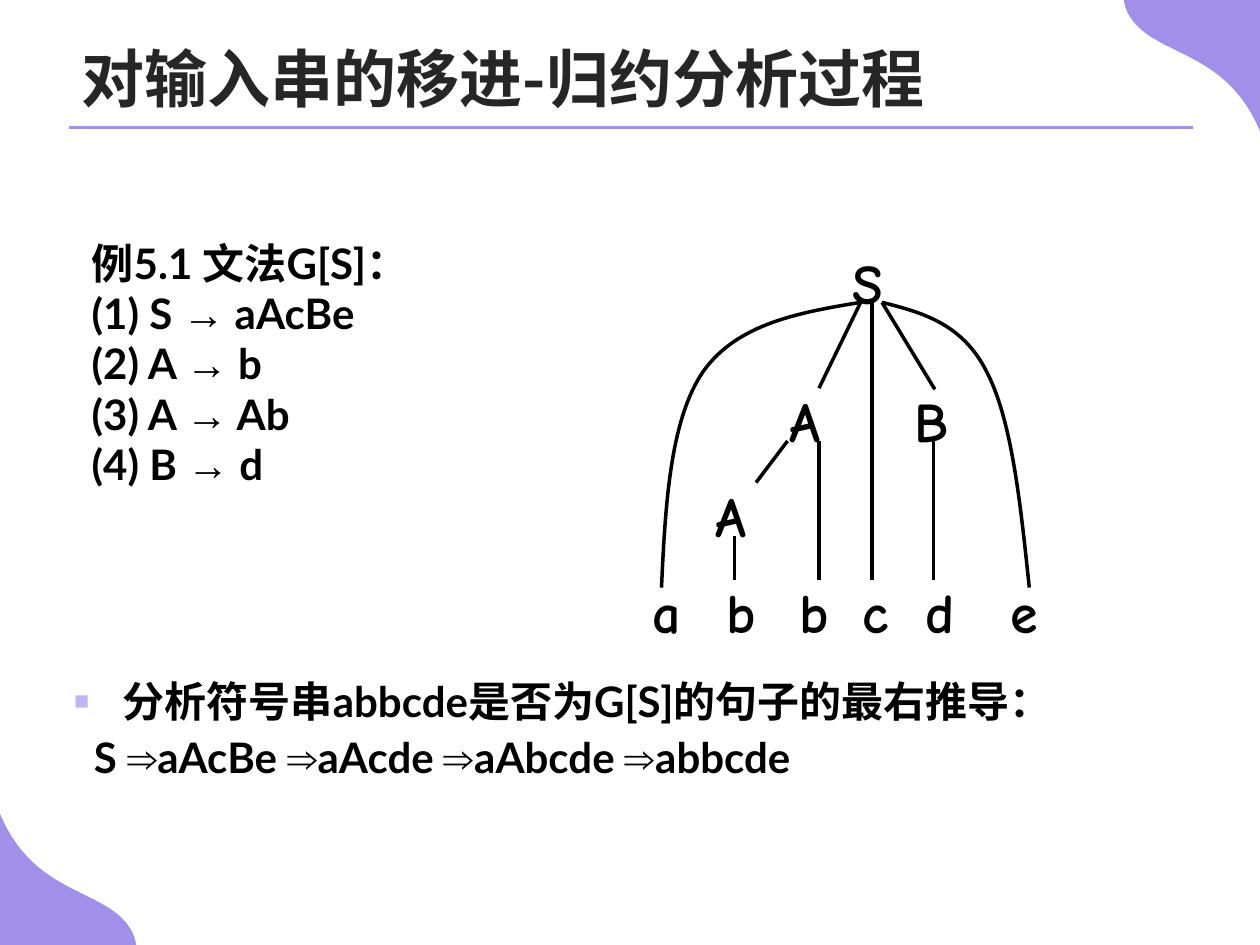
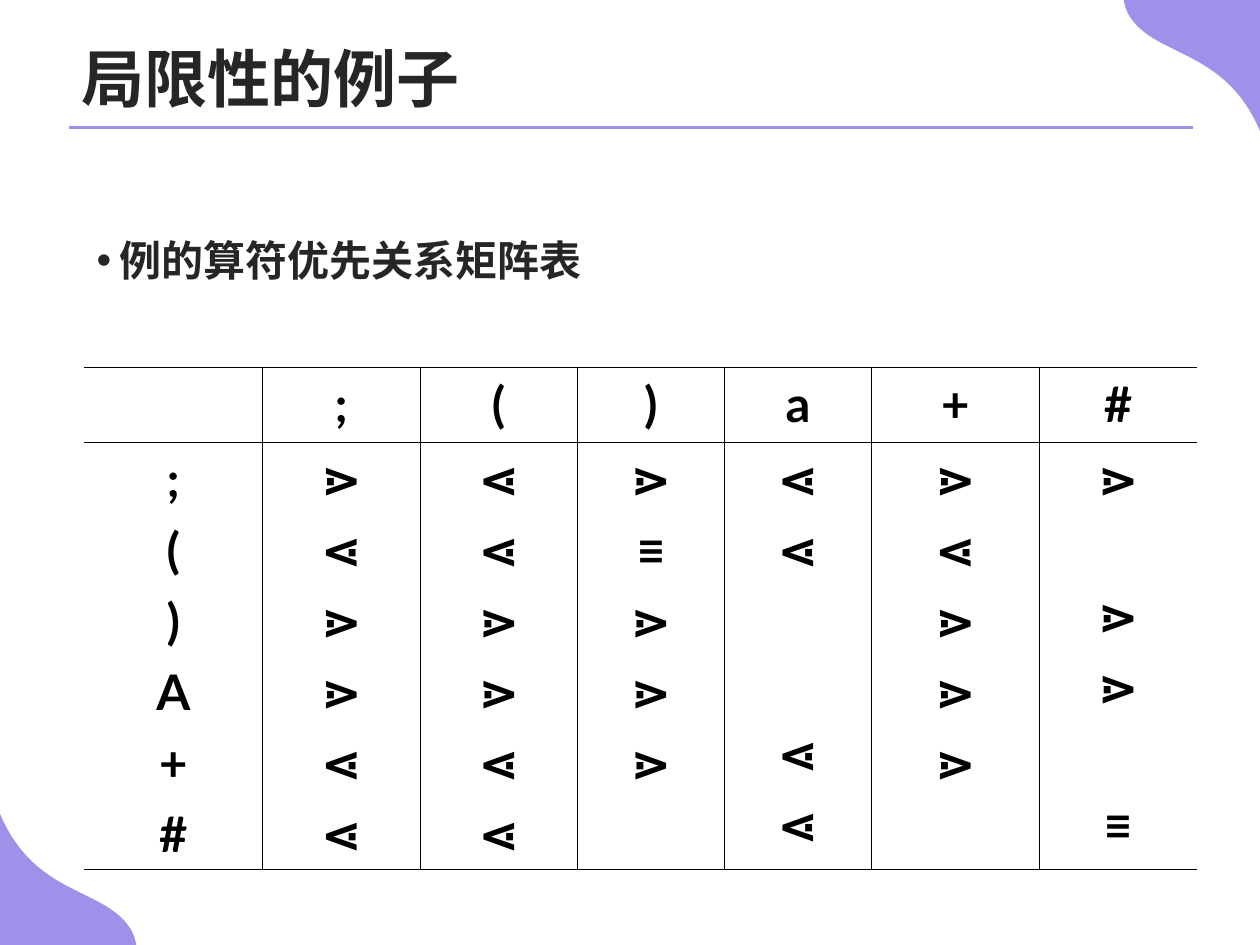
from dataclasses import dataclass
from itertools import groupby

from lxml.etree import SubElement
from pptx import Presentation
from pptx.dml.color import RGBColor
from pptx.enum.shapes import MSO_CONNECTOR
from pptx.enum.text import MSO_ANCHOR, MSO_AUTO_SIZE, PP_ALIGN
from pptx.oxml.ns import qn
from pptx.util import Pt


@dataclass(frozen=True)
class Theme:
    accent: str = "A190E9"
    marker: str = "C0B5F0"
    heading: str = "262626"
    ink: str = "000000"
    latin: str = "Lato"
    symbol: str = "Arial"
    chinese: str = "Noto Sans CJK SC"
    tree: str = "Comic Neue"
    title_size: float = 36
    tree_size: float = 32
    table_size: float = 28
    body_size: float = 24
    thin: float = 0.45
    thick: float = 1.08


THEME = Theme()
WIDTH, HEIGHT = 720, 540
ARROWS = "→⇒"

CORNER = [
    (655.2, 19.4), (674.6, 33.1), (703.4, 36), (720, 74.9),
    (720, 0), (720, 0), (720, 0),
    (642.2, 0), (642.2, 0), (642.2, 0),
    (643, 6.5), (646.6, 13), (655.2, 19.4),
]

GRAMMAR = ["例5.1 文法G[S]：", "(1) S → aAcBe", "(2) A → b", "(3) A → Ab", "(4) B → d"]

ROOT, UPPER, LEAF = 172.8, 252, 331.2
LEAF_TOP = 326.2
TREE_LABELS = [
    ("a", 365.8, LEAF_TOP, 24), ("b", 408.2, LEAF_TOP, 24), ("b", 450, LEAF_TOP, 24),
    ("c", 486, LEAF_TOP, 24), ("d", 522, LEAF_TOP, 24), ("e", 570.2, LEAF_TOP, 30),
    ("A", 401.8, 271.4, 30), ("A", 444.2, 217.4, 30), ("B", 515.5, 217.4, 36),
    ("S", 480.2, 138.2, 30),
]
TREE_BRANCHES = [
    ((419.8, LEAF), (419.8, 306)), ((468, LEAF), (468, UPPER)),
    ((450, UPPER), (432, 275.8)), ((533.5, LEAF), (533.5, UPPER)),
    ((498.2, LEAF), (498.2, ROOT)), ((491.8, ROOT), (468, 221.8)),
    ((504, ROOT), (534.2, 222.5)),
]
TREE_ARCS = [
    [(491.8, ROOT), (456.5, 178.6), (421.2, 185), (401.8, 212.4),
     (383, 239.8), (380.2, 288), (378, 335.8)],
    [(504, ROOT), (527, 178.6), (550.1, 185), (563.8, 212.4),
     (578.2, 239.8), (583.2, 288), (588.2, 335.8)],
]

SYMBOLS = [";", "(", ")", "a", "+", "#"]
ROW_SYMBOLS = [";", "(", ")", "A", "+", "#"]
PRECEDENCE = ["⋗⋖⋗⋗⋖⋖", "⋖⋖⋗⋗⋖⋖", "⋗≡⋗⋗⋗ ", "⋖⋖  ⋖⋖", "⋗⋖⋗⋗⋗ ", "⋗ ⋗⋗ ≡"]
COLUMN_WIDTHS = [102, 90, 90, 84, 84, 96, 90]
ROW_HEIGHTS = [42.9, 244]
ENTRY_GAP, BLANK_ENTRY = 7, 38


def rgb(color):
    return RGBColor.from_string(color)


def style(paragraph, size, color, font):
    paragraph.font.size = Pt(size)
    paragraph.font.bold = True
    paragraph.font.color.rgb = rgb(color)
    paragraph.font.name = font
    properties = paragraph._p.get_or_add_pPr().find(qn("a:defRPr"))
    SubElement(properties, qn("a:ea"), typeface=THEME.chinese)


def set_bullet(paragraph, char, color, margin, hanging, percent=100):
    properties = paragraph._p.get_or_add_pPr()
    properties.set("marL", str(Pt(margin)))
    properties.set("indent", str(-Pt(hanging)))
    if not char:
        SubElement(properties, qn("a:buNone"))
        return
    fill = SubElement(properties, qn("a:buClr"))
    SubElement(fill, qn("a:srgbClr"), val=color)
    SubElement(properties, qn("a:buSzPct"), val=str(percent * 1000))
    SubElement(properties, qn("a:buFont"), typeface=THEME.symbol)
    SubElement(properties, qn("a:buChar"), char=char)


def add_runs(paragraph, text):
    for is_arrow, chars in groupby(text, lambda char: char in ARROWS):
        run = paragraph.add_run()
        run.text = "".join(chars)
        if is_arrow:
            run.font.name = THEME.symbol


def place(shape, left, top, width, height):
    shape.left, shape.top, shape.width, shape.height = map(Pt, (left, top, width, height))
    shape.text_frame.word_wrap = True
    shape.text_frame.auto_size = MSO_AUTO_SIZE.NONE
    return shape.text_frame


def add_curve(shapes, points, close):
    start, *rest = [(Pt(x), Pt(y)) for x, y in points]
    builder = shapes.build_freeform(*start)
    builder.add_line_segments(rest, close=close)
    curve = builder.convert_to_shape()
    curve.shadow.inherit = False
    segments = list(curve._element.iter(qn("a:lnTo")))
    for first in range(0, len(segments), 3):
        bend = segments[first]
        bend.tag = qn("a:cubicBezTo")
        for segment in segments[first + 1:first + 3]:
            bend.append(segment[0])
            segment.getparent().remove(segment)
    return curve


def add_line(shapes, start, end, color, width):
    line = shapes.add_connector(MSO_CONNECTOR.STRAIGHT, *map(Pt, (*start, *end)))
    line.line.color.rgb = rgb(color)
    line.line.width = Pt(width)
    SubElement(line._element.spPr, qn("a:effectLst"))
    return line


def add_corner(shapes, points):
    corner = add_curve(shapes, points, close=True)
    corner.fill.solid()
    corner.fill.fore_color.rgb = rgb(THEME.accent)
    corner.line.fill.background()
    return corner


def decorate_master(deck, slide):
    turned = [(WIDTH - x, HEIGHT - y) for x, y in CORNER]
    decorations = [
        add_corner(slide.shapes, turned),
        add_corner(slide.shapes, CORNER),
        add_line(slide.shapes, (39.6, 72.7), (681.8, 72.7), THEME.accent, 1.5),
    ]
    for number, decoration in enumerate(decorations, 101):
        decoration._element.xpath(".//p:cNvPr")[0].set("id", str(number))
        deck.slide_master.shapes.element.append(decoration._element)


def add_titled_slide(deck, title, font):
    slide = deck.slides.add_slide(deck.slide_layouts[1])
    frame = place(slide.shapes.title, 39.6, 34.8, 640.8, 34.6)
    frame.vertical_anchor = MSO_ANCHOR.BOTTOM
    heading = frame.paragraphs[0]
    heading.text = title
    heading.alignment = PP_ALIGN.LEFT
    style(heading, THEME.title_size, THEME.heading, font)
    return slide


def add_grammar(shapes):
    frame = place(shapes.add_textbox(0, 0, 0, 0), 45.3, 132, 270, 198.7)
    rules = frame.paragraphs[0]
    for index, rule in enumerate(GRAMMAR):
        if index:
            rules.add_line_break()
        add_runs(rules, rule)
    style(rules, THEME.body_size, THEME.ink, THEME.latin)


def add_parse_tree(shapes):
    tree = shapes.add_group_shape().shapes
    for symbol, left, top, width in TREE_LABELS:
        frame = place(tree.add_textbox(0, 0, 0, 0), left, top, width, 46)
        frame.paragraphs[0].text = symbol
        style(frame.paragraphs[0], THEME.tree_size, THEME.ink, THEME.tree)
    for start, end in TREE_BRANCHES:
        add_line(tree, start, end, THEME.ink, 2)
    for points in TREE_ARCS:
        arc = add_curve(tree, points, close=False)
        arc.fill.background()
        arc.line.color.rgb = rgb(THEME.ink)
        arc.line.width = Pt(2)


def fill_derivation(body):
    frame = place(body, 35.2, 382.3, 649.4, 130.3)
    question, derivation = frame.paragraphs[0], frame.add_paragraph()
    add_runs(question, "分析符号串abbcde是否为G[S]的句子的最右推导：")
    add_runs(derivation, "S ⇒aAcBe ⇒aAcde ⇒aAbcde ⇒abbcde")
    set_bullet(question, "■", THEME.marker, 27.8, 27.8, 60)
    set_bullet(derivation, None, None, 11.2, 0)
    question.space_before = Pt(0)
    derivation.space_before = Pt(3)
    for paragraph in (question, derivation):
        style(paragraph, THEME.body_size, THEME.ink, THEME.latin)


def fill_caption(body):
    frame = place(body, 48, 121.7, 653.8, 48.2)
    caption = frame.paragraphs[0]
    caption.text = "例的算符优先关系矩阵表"
    set_bullet(caption, "•", THEME.heading, 13.2, 13.2)
    caption.line_spacing = 1.3
    caption.space_before = Pt(0)
    caption.space_after = Pt(10)
    style(caption, THEME.body_size, THEME.heading, THEME.symbol)


def set_borders(cell, **widths):
    properties = cell._tc.get_or_add_tcPr()
    for side in "LRTB":
        width = widths[side]
        border = SubElement(properties, qn(f"a:ln{side}"), w=str(Pt(width)))
        if width:
            fill = SubElement(border, qn("a:solidFill"))
            SubElement(fill, qn("a:srgbClr"), val=THEME.ink)
        else:
            SubElement(border, qn("a:noFill"))


def fill_entries(cell, entries):
    frame = cell.text_frame
    shown = [row for row, entry in enumerate(entries) if entry.strip()]
    for index, row in enumerate(shown):
        paragraph = frame.add_paragraph() if index else frame.paragraphs[0]
        paragraph.text = entries[row]
        paragraph.alignment = PP_ALIGN.CENTER
        if index:
            blanks = row - shown[index - 1] - 1
            paragraph.space_before = Pt(ENTRY_GAP + blanks * BLANK_ENTRY)
        style(paragraph, THEME.table_size, THEME.ink, THEME.latin)


def add_precedence_table(shapes):
    frame = shapes.add_table(2, len(COLUMN_WIDTHS), Pt(48), Pt(210),
                             Pt(sum(COLUMN_WIDTHS)), Pt(sum(ROW_HEIGHTS)))
    table = frame.table
    table.first_row = table.horz_banding = False
    for column, width in zip(table.columns, COLUMN_WIDTHS):
        column.width = Pt(width)
    for row, height in zip(table.rows, ROW_HEIGHTS):
        row.height = Pt(height)
    contents = [["", *SYMBOLS], [ROW_SYMBOLS, *PRECEDENCE]]
    last = len(COLUMN_WIDTHS) - 1
    for row, cells in enumerate(contents):
        for column, entries in enumerate(cells):
            cell = table.cell(row, column)
            fill_entries(cell, entries)
            set_borders(cell,
                        L=THEME.thin if column else 0,
                        R=THEME.thin if column < last else 0,
                        T=THEME.thin if row else THEME.thick,
                        B=THEME.thick if row else THEME.thin)
            cell.fill.background()


def main():
    deck = Presentation()
    deck.slide_width, deck.slide_height = Pt(WIDTH), Pt(HEIGHT)

    parsing = add_titled_slide(deck, "对输入串的移进-归约分析过程", THEME.chinese)
    decorate_master(deck, parsing)
    fill_derivation(parsing.placeholders[1])
    add_parse_tree(parsing.shapes)
    add_grammar(parsing.shapes)

    limits = add_titled_slide(deck, "局限性的例子", THEME.symbol)
    fill_caption(limits.placeholders[1])
    add_precedence_table(limits.shapes)

    deck.save("out.pptx")


if __name__ == "__main__":
    main()
